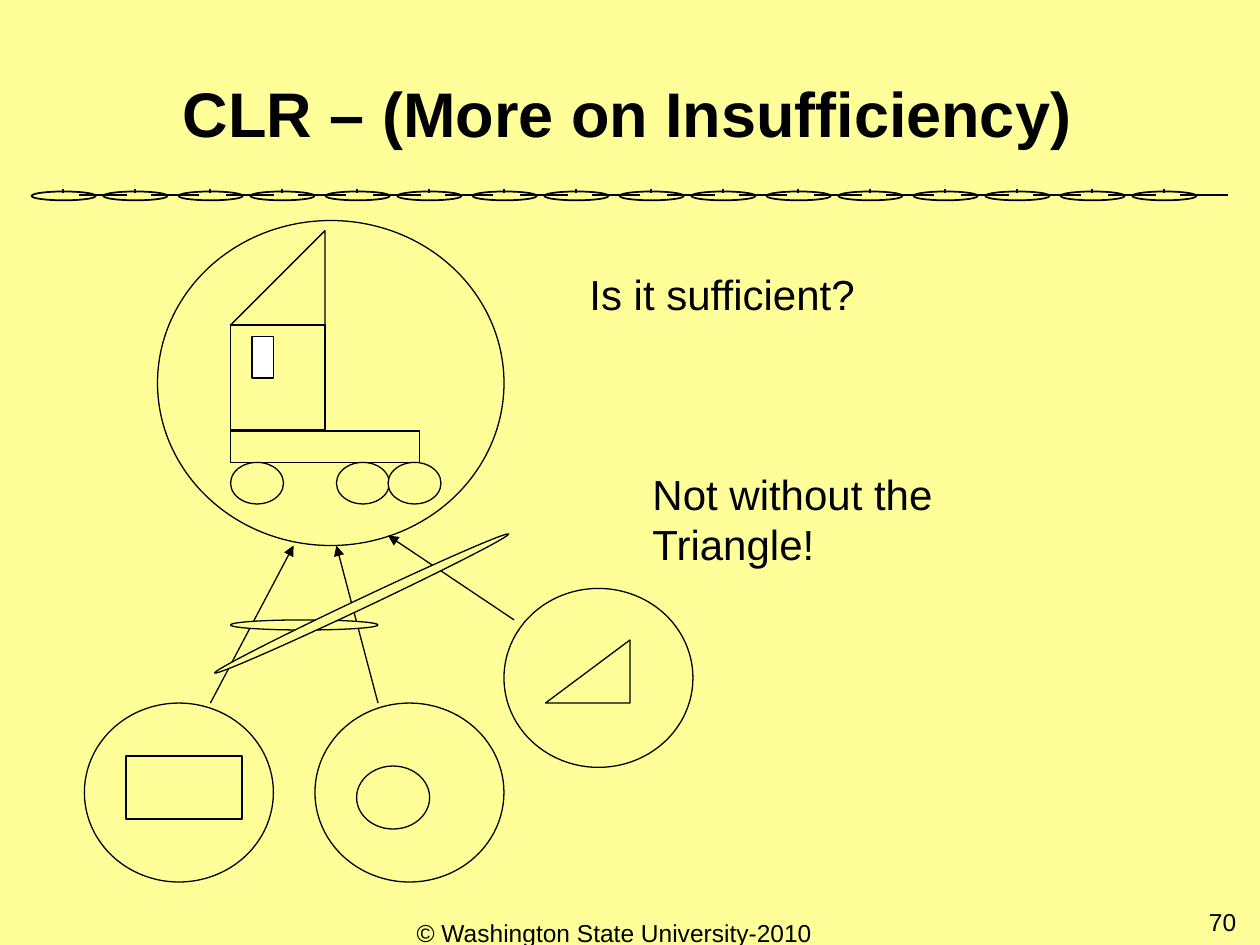
from lxml.etree import SubElement
from pptx import Presentation
from pptx.dml.color import RGBColor
from pptx.enum.shapes import MSO_CONNECTOR, MSO_SHAPE
from pptx.enum.text import MSO_ANCHOR, PP_ALIGN
from pptx.oxml.ns import qn
from pptx.util import Inches, Pt

BLACK = RGBColor(0, 0, 0)
WHITE = RGBColor(255, 255, 255)
YELLOW = RGBColor(0xFF, 0xFF, 0x99)
OVAL, RECT, WEDGE = MSO_SHAPE.OVAL, MSO_SHAPE.RECTANGLE, MSO_SHAPE.RIGHT_TRIANGLE


def draw(parts, kind, x, y, w, h, fill=YELLOW, line=0.75, turn=0):
    shape = parts.add_shape(kind, Inches(x), Inches(y), Inches(w), Inches(h))
    shape.shadow.inherit = False
    if fill is None:
        shape.fill.background()
    else:
        shape.fill.solid()
        shape.fill.fore_color.rgb = fill
    shape.line.color.rgb = BLACK
    shape.line.width = Pt(line)
    shape.rotation = turn
    if kind == WEDGE:  # right angle at the lower right
        shape._element.spPr.xfrm.set("flipH", "1")
    return shape


def link(parts, x1, y1, x2, y2, width=0.75, arrow=True):
    line = parts.add_connector(MSO_CONNECTOR.STRAIGHT, Inches(x1), Inches(y1),
                               Inches(x2), Inches(y2))
    line.line.color.rgb = BLACK
    line.line.width = Pt(width)
    if arrow:
        SubElement(line.line._get_or_add_ln(), qn("a:tailEnd"), type="triangle")
    SubElement(line._element.spPr, qn("a:effectLst"))


def label(parts, text, x, y, w, h, size, align=PP_ALIGN.LEFT,
          anchor=MSO_ANCHOR.TOP, bold=False, space=1.0):
    box = parts.add_textbox(Inches(x), Inches(y), Inches(w), Inches(h))
    frame = box.text_frame
    frame.word_wrap = True
    frame.vertical_anchor = anchor
    para = frame.paragraphs[0]
    para.text = text
    para.alignment = align
    para.line_spacing = space
    look = {"name": "Arial", "size": Pt(size), "bold": bold}
    for key, value in look.items():
        setattr(para.font, key, value)
    para.font.color.rgb = BLACK


def chain(parts, x, y, count=16):
    """Divider of linked rings, spaced in pairs."""
    for i in range(count):
        left = x + i // 2 * 7 / 6 + i % 2 * 0.57
        draw(parts, OVAL, left, y, 0.51, 0.07, None, 1)
        link(parts, left + 0.25, y - 0.02, left + 0.25, y + 0.01, 1, False)
        link(parts, left + 0.76, y + 0.03, left + 0.38, y + 0.03, 1, False)


def crane(parts, x, y):
    """Vehicle built from simple shapes, inside a large circle."""
    left = x + 0.58
    draw(parts, WEDGE, left, y + 0.08, 0.75, 0.75)
    draw(parts, RECT, left, y + 0.83, 0.75, 0.83)
    draw(parts, RECT, x + 0.75, y + 0.92, 0.17, 0.33, WHITE)
    draw(parts, RECT, left, y + 1.67, 1.5, 0.25)
    for step in (0, 0.84, 1.25):
        draw(parts, OVAL, left + step, y + 1.92, 0.42, 0.33)
    draw(parts, OVAL, x, y, 2.75, 2.58, None)


def cause(parts, x, y, kind, dx, dy, w, h):
    """Circle holding one part of the vehicle."""
    draw(parts, OVAL, x, y, 1.5, 1.42, None)
    draw(parts, kind, x + dx, y + dy, w, h)


def causes(parts, x, y):
    """Two causes, joined by a flat ellipse."""
    cause(parts, x, y, RECT, 0.33, 0.42, 0.92, 0.5)
    cause(parts, x + 1.83, y, OVAL, 0.33, 0.5, 0.58, 0.5)
    link(parts, x + 1, y, x + 1.66, y - 1.25)
    link(parts, x + 2.33, y, x + 2, y - 1.25)
    draw(parts, OVAL, x + 1.16, y - 0.66, 1.17, 0.08)


def answer(parts, x, y):
    """Missing third cause with its answer, as one group."""
    group = parts.add_group_shape().shapes
    cause(group, x, y, WEDGE, 0.33, 0.41, 0.67, 0.5)
    link(group, x + 0.08, y + 0.25, x - 0.92, y - 0.42)
    draw(group, OVAL, x - 2.42, y + 0.08, 2.58, 0.08, turn=334.7)
    label(group, "Not without the Triangle!", x + 1.08, y - 1, 3.08, 0.9, 24)


def footer(parts, x, y):
    label(parts, "70", x + 4.58, y, 2.33, 0.52, 14, PP_ALIGN.RIGHT)
    label(parts, "© Washington State University-2010",
          x, y + 0.09, 3.75, 0.52, 14, PP_ALIGN.CENTER)


def main():
    deck = Presentation()
    deck.slide_width, deck.slide_height = Inches(10), Inches(7.5)
    slide = deck.slides.add_slide(deck.slide_layouts[6])
    slide.background.fill.solid()
    slide.background.fill.fore_color.rgb = YELLOW
    parts = slide.shapes
    chain(parts, 0.25, 1.52)
    label(parts, "CLR – (More on Insufficiency)", 0.55, 0.33, 8.86, 0.92, 36,
          PP_ALIGN.CENTER, MSO_ANCHOR.BOTTOM, True, 0.9)
    crane(parts, 1.25, 1.75)
    causes(parts, 0.67, 5.58)
    label(parts, "Is it sufficient?", 4.58, 2.08, 4.5, 0.5, 24)
    answer(parts, 4, 4.67)
    footer(parts, 3, 7.15)
    deck.save("out.pptx")


if __name__ == "__main__":
    main()
